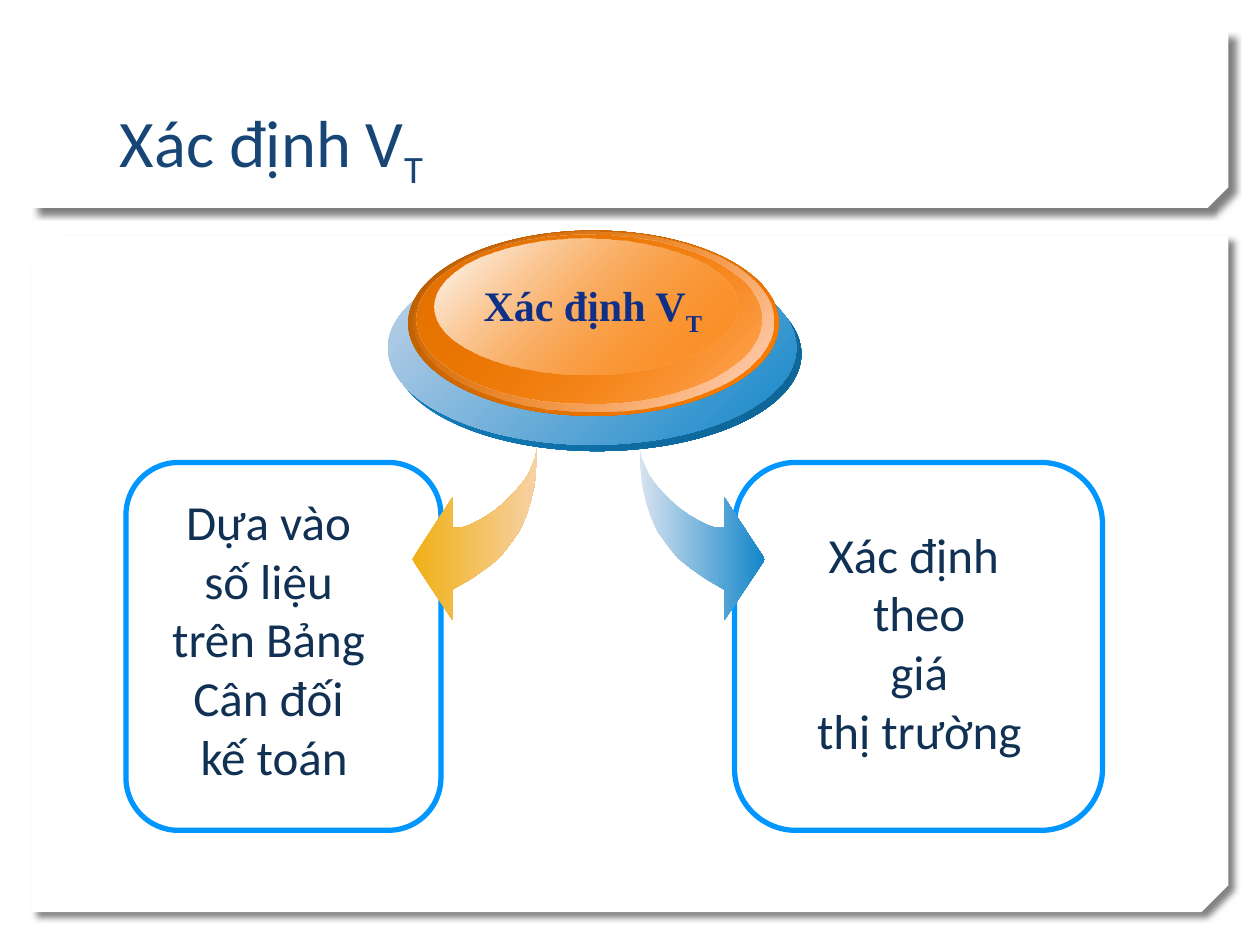
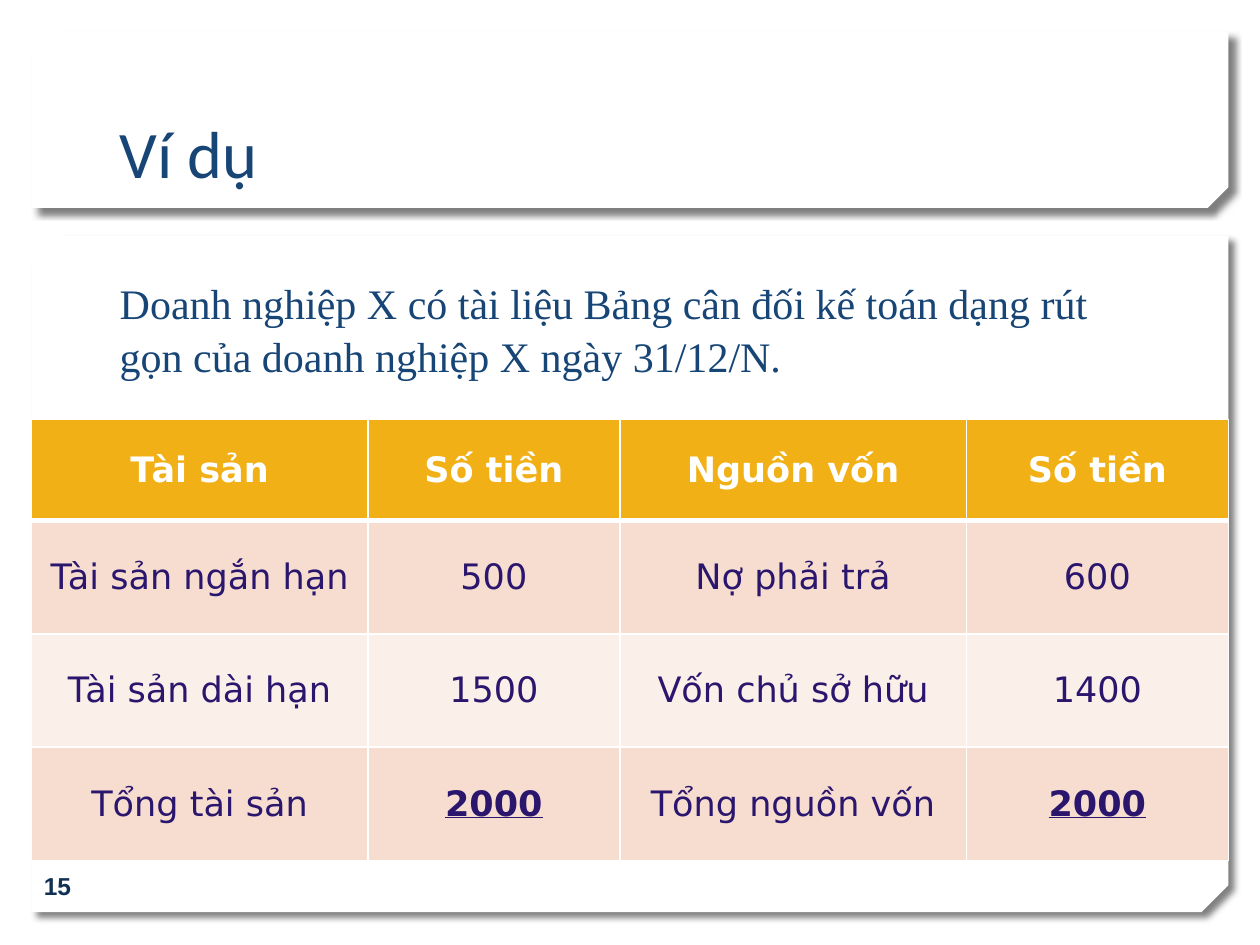
"""Build two slides on how the value VT is determined."""
from dataclasses import dataclass

from lxml import etree
from pptx import Presentation
from pptx import util as u
from pptx.dml import color
from pptx.enum import shapes, text
from pptx.oxml import ns


@dataclass(frozen=True)
class Theme:
    """Colours, fonts and type sizes of the deck."""
    white: str = "FFFFFF"
    black: str = "000000"
    title: str = "174576"
    body: str = "103154"
    badge: str = "103088"
    cell: str = "2B166E"
    frame: str = "0096FF"
    gold: str = "F1B015"
    gold_light: str = "F6D1A5"
    blue: str = "1286C9"
    blue_dark: str = "0D6293"
    blue_light: str = "C6D5E9"
    blue_pale: str = "D8E2F0"
    orange: str = "FF7F01"
    orange_mid: str = "E67301"
    orange_dark: str = "B65B01"
    orange_light: str = "FFDDD4"
    bands: tuple = ("F7DDD0", "FBEFE9")
    sans: str = "Calibri"
    serif: str = "Times New Roman"
    table: str = "DejaVu Sans"
    footer: str = "Arial"
    title_size: int = 38
    label_size: int = 28
    text_size: int = 24
    cell_size: int = 20
    footer_size: int = 14


T = Theme()
ALIGN = text.PP_ALIGN
ANCHOR = text.MSO_ANCHOR
SHAPE = shapes.MSO_SHAPE
MIRROR_SUM = 9.34
ARROW = [
    (4.26, 3.56), (4.26, 3.71), (4.24, 3.86), (4.21, 3.99), (4.17, 4.11),
    (4.12, 4.22), (4.04, 4.33), (3.96, 4.43), (3.86, 4.51), (3.73, 4.6),
    (3.59, 4.68), (3.59, 4.92), (3.27, 4.44), (3.59, 3.95), (3.59, 4.19),
    (3.66, 4.19), (3.72, 4.17), (3.8, 4.13), (3.87, 4.09), (3.94, 4.04),
    (4.01, 3.98), (4.08, 3.91), (4.14, 3.84), (4.19, 3.77), (4.22, 3.7),
    (4.25, 3.63),
]
ELLIPSES = [
    ((3.12, 2.04, 3.24, 1.54), (T.blue, 100), (T.blue_dark, 100)),
    ((3.08, 1.99, 3.24, 1.54), (T.blue_light, 100), (T.blue, 100)),
    ((3.24, 1.83, 2.94, 1.47), (T.orange_dark, 100), (T.orange, 100)),
    ((3.28, 1.84, 2.86, 1.43), (T.orange, 0), (T.orange_light, 100)),
    ((3.31, 1.86, 2.73, 1.34), (T.orange_mid, 100), (T.orange, 48)),
    ((3.45, 1.89, 2.4, 1.08), (T.white, 100), (T.orange, 38)),
]
ROWS = [
    ("Tài sản", "Số tiền", "Nguồn vốn", "Số tiền"),
    ("Tài sản ngắn hạn", "500", "Nợ phải trả", "600"),
    ("Tài sản dài hạn", "1500", "Vốn chủ sở hữu", "1400"),
    ("Tổng tài sản", "2000", "Tổng nguồn vốn", "2000"),
]


def rgb(value):
    """Turn a hex string into a colour."""
    return color.RGBColor.from_string(value)


def inches(*values):
    """Turn plain numbers into lengths."""
    return [u.Inches(v) for v in values]


def child(parent, tag, **attrs):
    """Append a DrawingML element."""
    return etree.SubElement(parent, ns.qn("a:" + tag), attrs)


def write(tf, content, font=T.sans, size=T.label_size, fill=T.body, bold=False,
          underline=False, align=ALIGN.LEFT, anchor=ANCHOR.TOP, wrap=True, spacing=None):
    """Write lines of text, where an underscore starts a subscript."""
    tf.word_wrap = wrap
    tf.auto_size = text.MSO_AUTO_SIZE.NONE
    tf.vertical_anchor = anchor
    for i, line in enumerate(content.split("\n")):
        p = tf.add_paragraph() if i else tf.paragraphs[0]
        p.alignment, p.line_spacing = align, spacing
        for level, part in enumerate(line.split("_")):
            r = p.add_run()
            r.text = part
            f = r.font
            f.name, f.size, f.bold, f.underline = font, u.Pt(size), bold, underline
            f.color.rgb = rgb(fill)
            if level:
                r._r.get_or_add_rPr().set("baseline", "-25000")


def label(s, at, content, **fmt):
    """Add a text box."""
    write(s.shapes.add_textbox(*inches(*at)).text_frame, content, **fmt)


def gradient(sp, stops, angle):
    """Give a shape a two-stop gradient with opacities and no outline."""
    sp.shadow.inherit = False
    sp.line.fill.background()
    sp.fill.gradient()
    sp.fill.gradient_angle = angle
    for stop, (value, _) in zip(sp.fill.gradient_stops, stops):
        stop.color.rgb = rgb(value)
    for clr, (_, opacity) in zip(sp._element.spPr.iter(ns.qn("a:srgbClr")), stops):
        if opacity < 100:
            child(clr, "alpha", val=str(opacity * 1000))


def panel(prs, s, at, snip, number):
    """Put a white snipped panel with a shadow on the master."""
    sp = s.shapes.add_shape(SHAPE.SNIP_2_DIAG_RECTANGLE, *inches(*at))
    sp.adjustments[0], sp.adjustments[1] = 0, snip
    sp.fill.solid()
    sp.fill.fore_color.rgb = rgb(T.white)
    sp.line.fill.background()
    sp.shadow.inherit = False
    el = sp._element
    el.spPr.xfrm.set("flipV", "1")
    shadow = child(el.spPr.find(ns.qn("a:effectLst")), "outerShdw",
                   blurRad=str(u.Pt(4)), dist=str(u.Pt(5)), dir="2700000",
                   algn="tl", rotWithShape="0")
    child(child(shadow, "srgbClr", val=T.black), "alpha", val="50000")
    el.nvSpPr.cNvPr.set("id", str(100 + number))
    prs.slide_master.shapes._spTree.insert(2 + number, el)


def place(sp, at):
    """Move a placeholder."""
    sp.left, sp.top, sp.width, sp.height = inches(*at)


def add_slide(prs, layout, title):
    """Add a slide with the shared title style."""
    s = prs.slides.add_slide(prs.slide_layouts[layout])
    place(s.shapes.title, (0.85, 0.32, 8.29, 1.25))
    write(s.shapes.title.text_frame, title, size=T.title_size, fill=T.title,
          anchor=ANCHOR.BOTTOM)
    return s


def frame(s, at):
    """Add an outlined rounded box."""
    sp = s.shapes.add_shape(SHAPE.ROUNDED_RECTANGLE, *inches(*at))
    sp.adjustments[0] = 0.167
    sp.shadow.inherit = False
    sp.fill.background()
    sp.line.color.rgb = rgb(T.frame)
    sp.line.width = u.Pt(3)


def arrow(s, points, left, right):
    """Add a curved arrow shaded from left to right."""
    points = [inches(*pt) for pt in points]
    fb = s.shapes.build_freeform(*points[0])
    fb.add_line_segments(points[1:], close=True)
    gradient(fb.convert_to_shape(), ((left, 100), (right, 100)), 0)


def badge(s):
    """Stack the shaded ellipses under their caption."""
    for at, *stops in ELLIPSES:
        sp = s.shapes.add_shape(SHAPE.OVAL, *inches(*at))
        gradient(sp, stops, 315)
    label(s, (3.72, 2.17, 1.97, 0.5), "Xác định V_T", font=T.serif, size=T.text_size,
          fill=T.badge, bold=True, align=ALIGN.CENTER, wrap=False)


def border(cell, bottom, top):
    """Draw white cell borders of the given widths."""
    tc = cell._tc.get_or_add_tcPr()
    for i, (side, width) in enumerate((("L", 1), ("R", 1), ("T", top), ("B", bottom))):
        ln = child(tc, "ln" + side, w=str(u.Pt(width)))
        child(child(ln, "solidFill"), "srgbClr", val=T.white)
        tc.insert(i, ln)


def balance_table(s):
    """Add the balance sheet table."""
    tbl = s.shapes.add_table(4, 4, *inches(0.25, 3.33, 9.5, 3.5)).table
    tbl.horz_banding = False
    for col, width in zip(tbl.columns, inches(2.67, 2, 2.75, 2.08)):
        col.width = width
    for i, values in enumerate(ROWS):
        tbl.rows[i].height = u.Inches(0.9 if i else 0.8)
        for j, value in enumerate(values):
            cell = tbl.cell(i, j)
            total = value == "2000"
            cell.fill.solid()
            cell.fill.fore_color.rgb = rgb(T.bands[(i - 1) % 2] if i else T.gold)
            cell.margin_left = cell.margin_right = u.Inches(0.07)
            cell.margin_top = cell.margin_bottom = 0
            write(cell.text_frame, value, font=T.table, size=T.cell_size,
                  fill=T.cell if i else T.white, bold=total or i == 0,
                  underline=total, align=ALIGN.CENTER)
            cell.vertical_anchor = ANCHOR.MIDDLE
            border(cell, bottom=1 if i else 3, top=3 if i == 1 else 1)


def body(s, content):
    """Fill the body placeholder with unbulleted text."""
    sp = s.placeholders[1]
    place(sp, (0.85, 2.13, 8.29, 4.38))
    write(sp.text_frame, content, font=T.serif, size=T.text_size, fill=T.title, spacing=1.05)
    for p in sp.text_frame.paragraphs:
        pr = p._p.get_or_add_pPr()
        pr.set("marL", "0")
        pr.set("indent", "0")
        child(pr, "buNone")


def methods_slide(prs):
    """Build the slide with the two ways to determine the value."""
    s = add_slide(prs, 5, "Xác định V_T")
    panel(prs, s, (0.25, 1.87, 9.5, 5.37), 0.04, 0)
    panel(prs, s, (0.25, 0.25, 9.5, 1.4), 0.117, 1)
    frame(s, (5.83, 3.67, 2.92, 2.92))
    frame(s, (1, 3.67, 2.5, 2.92))
    arrow(s, ARROW, T.gold, T.gold_light)
    arrow(s, [(MIRROR_SUM - x, y) for x, y in ARROW], T.blue_pale, T.blue)
    badge(s)
    label(s, (6.17, 4.11, 2.25, 1.99), "Xác định \ntheo\ngiá\nthị trường",
          align=ALIGN.CENTER)
    label(s, (1.05, 3.85, 2.25, 2.46),
          "Dựa vào \nsố liệu \ntrên Bảng \nCân đối \nkế toán", align=ALIGN.CENTER)


def example_slide(prs):
    """Build the slide with the worked example."""
    s = add_slide(prs, 1, "Ví dụ")
    body(s, "Doanh nghiệp X có tài liệu Bảng cân đối kế toán dạng rút gọn "
            "của doanh nghiệp X ngày 31/12/N.")
    label(s, (0.25, 6.83, 2.33, 0.4), "15", font=T.footer, size=T.footer_size,
          bold=True, anchor=ANCHOR.MIDDLE)
    balance_table(s)


def main():
    """Build and save the deck."""
    prs = Presentation()
    prs.slide_width, prs.slide_height = inches(10, 7.5)
    methods_slide(prs)
    example_slide(prs)
    prs.save("out.pptx")


if __name__ == "__main__":
    main()
